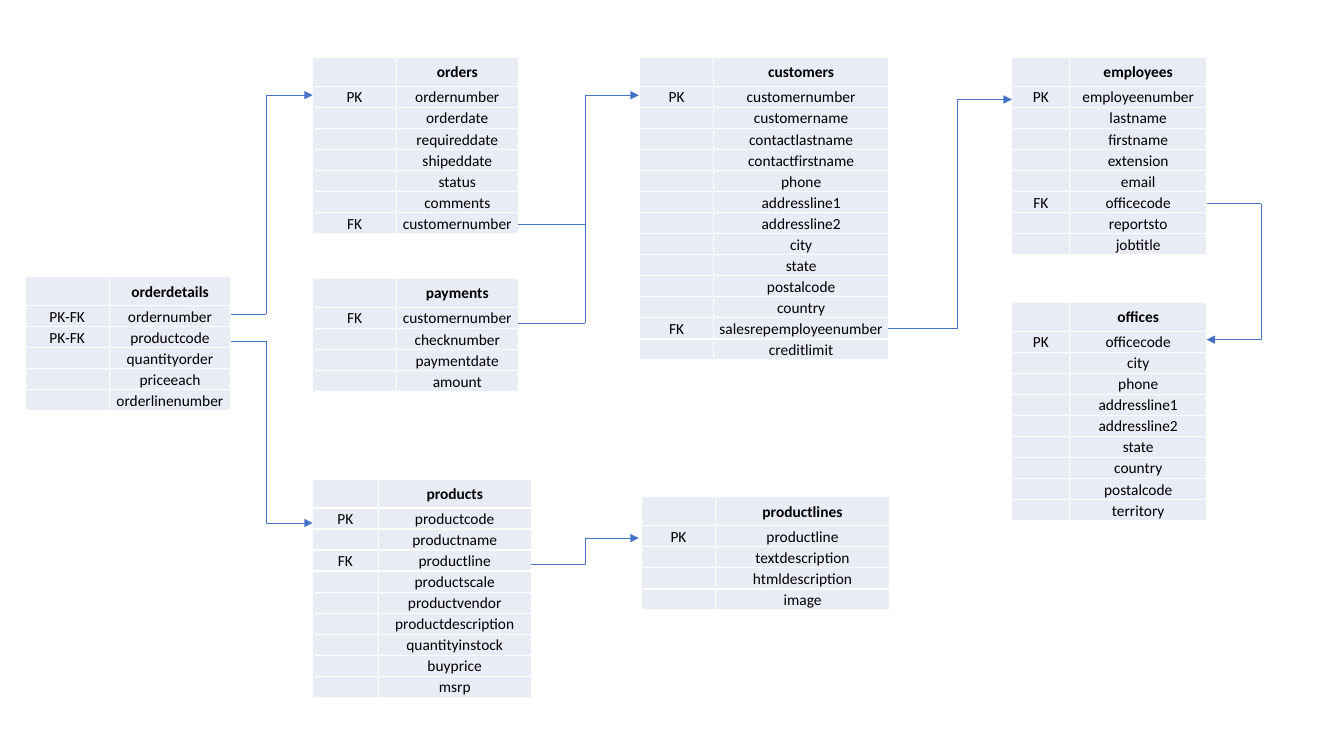
from dataclasses import dataclass

from lxml.etree import SubElement
from pptx import Presentation
from pptx.dml.color import RGBColor
from pptx.enum.shapes import MSO_CONNECTOR
from pptx.enum.text import MSO_ANCHOR, PP_ALIGN
from pptx.oxml.ns import qn
from pptx.util import Cm, Pt


@dataclass(frozen=True)
class Theme:
    """Colours, type and line sizes of the diagram."""
    cell: str = "E9EBF5"
    border: str = "FFFFFF"
    text: str = "000000"
    link: str = "4472C4"
    font: str = "Calibri"
    size: float = 11
    border_width: float = 1
    link_width: float = 0.5
    head_height: float = 0.73
    row_height: float = 0.53
    inset: float = 0.03


class Diagram:
    """Draws entity tables and their links on one slide, in centimetres."""

    def __init__(self, s, theme):
        """Keep the slide and the style."""
        self.s = s
        self.theme = theme

    def entity(self, name, left, top, widths, fields, keys):
        """Add a table with a header and one row per field; return its right edge."""
        th = self.theme
        rows = [("", name)] + [(keys.get(f, ""), f) for f in fields]
        heights = [th.head_height] + [th.row_height] * len(fields)
        table = self.s.shapes.add_table(len(rows), 2, Cm(left), Cm(top),
                                        Cm(sum(widths)), Cm(sum(heights))).table
        table.first_row = table.horz_banding = False
        for column, width in zip(table.columns, widths):
            column.width = Cm(width)
        for i, (row, height) in enumerate(zip(table.rows, heights)):
            row.height = Cm(height)
            for cell, text in zip(row.cells, rows[i]):
                self.cell(cell, text, bold=i == 0)
        return left + sum(widths)

    def cell(self, cell, text, bold):
        """Style one table cell and write its text."""
        th = self.theme
        cell.margin_left = cell.margin_right = cell.margin_top = Cm(th.inset)
        cell.margin_bottom = 0
        cell.vertical_anchor = MSO_ANCHOR.MIDDLE
        tc_pr = cell._tc.get_or_add_tcPr()
        for side in ("lnL", "lnR", "lnT", "lnB"):
            ln = SubElement(tc_pr, qn(f"a:{side}"), w=str(Pt(th.border_width)))
            SubElement(SubElement(ln, qn("a:solidFill")), qn("a:srgbClr"), val=th.border)
        cell.fill.solid()
        cell.fill.fore_color.rgb = RGBColor.from_string(th.cell)
        p = cell.text_frame.paragraphs[0]
        p.alignment = PP_ALIGN.CENTER
        if not text:
            SubElement(p._p, qn("a:endParaRPr"), sz=str(int(th.size * 100)))
            return
        r = p.add_run()
        r.text = text
        r.font.name = th.font
        r.font.size = Pt(th.size)
        r.font.bold = bold
        r.font.color.rgb = RGBColor.from_string(th.text)

    def line(self, start, end, kind=MSO_CONNECTOR.STRAIGHT):
        """Add a connector between two points."""
        points = [Cm(v) for v in (*start, *end)]
        link = self.s.shapes.add_connector(kind, *points)
        link.line.color.rgb = RGBColor.from_string(self.theme.link)
        link.line.width = Pt(self.theme.link_width)
        SubElement(link._element.spPr, qn("a:effectLst"))
        return link

    def elbow(self, start, end, bend):
        """Add a bent arrow that turns at the given share of its width."""
        link = self.line(start, end, MSO_CONNECTOR.ELBOW)
        SubElement(link.line._get_or_add_ln(), qn("a:tailEnd"), type="triangle")
        guides = link._element.spPr.find(qn("a:prstGeom")).get_or_add_avLst()
        SubElement(guides, qn("a:gd"), name="adj1", fmla=f"val {int(bend * 100000)}")


COL_A, COL_B, COL_C, COL_D = 0.64, 7.88, 16.11, 25.5
TOP = 1.45
ORDER_COLS, OFFICE_COLS = (2.11, 3.07), (1.46, 3.45)

ENTITIES = [
    ("orderdetails", COL_A, 6.97, ORDER_COLS,
     ["ordernumber", "productcode", "quantityorder", "priceeach", "orderlinenumber"],
     {"ordernumber": "PK-FK", "productcode": "PK-FK"}),
    ("orders", COL_B, TOP, ORDER_COLS,
     ["ordernumber", "orderdate", "requireddate", "shipeddate", "status", "comments",
      "customernumber"],
     {"ordernumber": "PK", "customernumber": "FK"}),
    ("payments", COL_B, 7.02, ORDER_COLS,
     ["customernumber", "checknumber", "paymentdate", "amount"],
     {"customernumber": "FK"}),
    ("customers", COL_C, TOP, (1.88, 4.4),
     ["customernumber", "customername", "contactlastname", "contactfirstname", "phone",
      "addressline1", "addressline2", "city", "state", "postalcode", "country",
      "salesrepemployeenumber", "creditlimit"],
     {"customernumber": "PK", "salesrepemployeenumber": "FK"}),
    ("employees", COL_D, TOP, OFFICE_COLS,
     ["employeenumber", "lastname", "firstname", "extension", "email", "officecode",
      "reportsto", "jobtitle"],
     {"employeenumber": "PK", "officecode": "FK"}),
    ("offices", COL_D, 7.62, OFFICE_COLS,
     ["officecode", "city", "phone", "addressline1", "addressline2", "state", "country",
      "postalcode", "territory"],
     {"officecode": "PK"}),
    ("products", COL_B, 12.07, (1.65, 3.86),
     ["productcode", "productname", "productline", "productscale", "productvendor",
      "productdescription", "quantityinstock", "buyprice", "msrp"],
     {"productcode": "PK", "productline": "FK"}),
    ("productlines", 16.16, 12.52, (1.88, 4.37),
     ["productline", "textdescription", "htmldescription", "image"],
     {"productline": "PK"}),
]

LANE_AB, LANE_BC, LANE_CD, LANE_END = 6.71, 14.74, 24.13, 31.78
CUSTOMER_END = 16.1

# source table, y at source, lane x, arrowhead (None where the line joins another)
LINKS = [
    ("orderdetails", 7.92, LANE_AB, (COL_B, 2.4)),
    ("orderdetails", 8.59, LANE_AB, (COL_B, 13.18)),
    ("payments", 8.15, LANE_BC, (CUSTOMER_END, 2.4)),
    ("orders", 5.66, LANE_BC, None),
    ("customers", 8.28, LANE_CD, (COL_D, 2.51)),
    ("employees", 5.13, LANE_END, (COL_D + sum(OFFICE_COLS), 8.56)),
]


def main():
    """Build the schema slide and save it."""
    prs = Presentation()
    prs.slide_width, prs.slide_height = Cm(33.87), Cm(19.05)
    d = Diagram(prs.slides.add_slide(prs.slide_layouts[6]), Theme())
    right = {entity[0]: d.entity(*entity) for entity in ENTITIES}
    for source, y, lane, end in LINKS:
        d.line((lane, y), (right[source], y))
        if end:
            d.elbow((lane, y), end, bend=0)
    d.elbow((right["products"], 14.22), (CUSTOMER_END, 13.56), bend=0.5)
    prs.save("out.pptx")


main()
